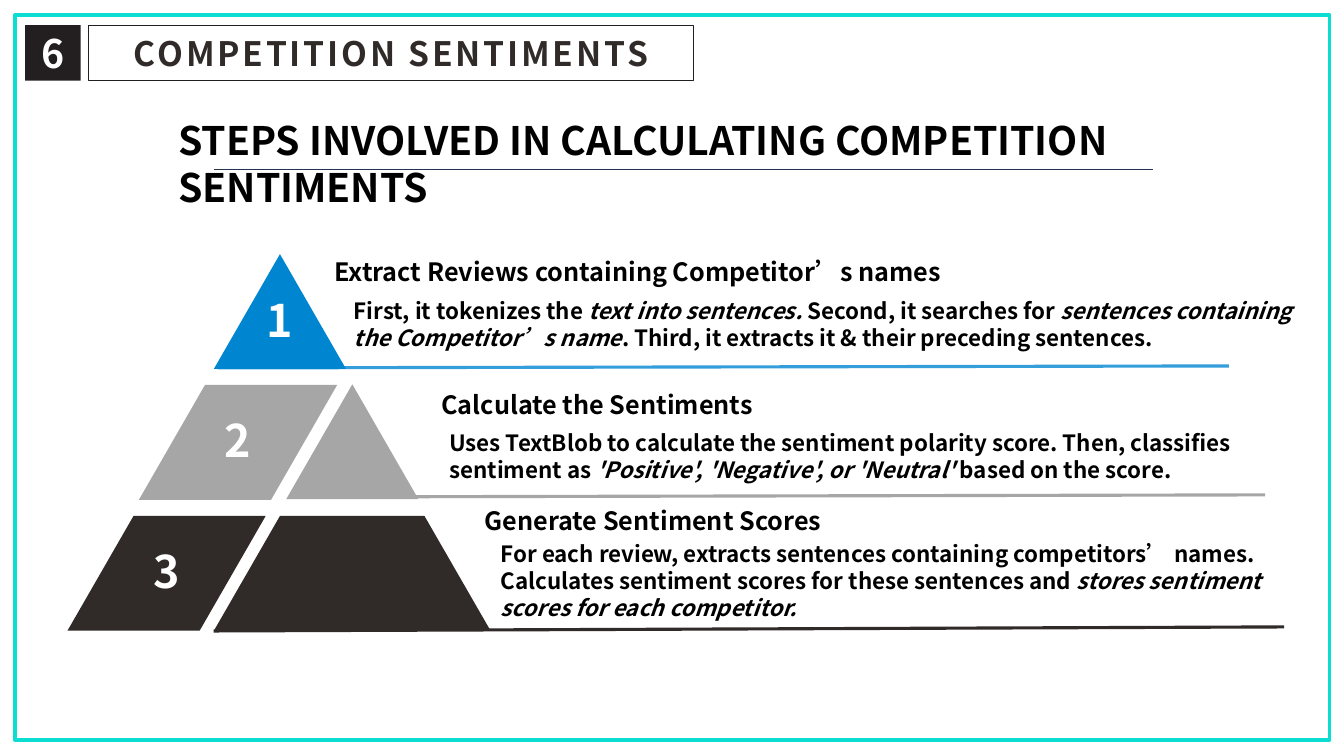
from lxml import etree
from pptx import Presentation
from pptx.dml.color import RGBColor
from pptx.enum.shapes import MSO_CONNECTOR, MSO_SHAPE
from pptx.enum.text import MSO_ANCHOR, MSO_AUTO_SIZE, PP_ALIGN
from pptx.oxml.ns import qn
from pptx.util import Pt

RECTANGLE = MSO_SHAPE.RECTANGLE
STRAIGHT = MSO_CONNECTOR.STRAIGHT
CENTER, LEFT = PP_ALIGN.CENTER, PP_ALIGN.LEFT
MIDDLE, TOP = MSO_ANCHOR.MIDDLE, MSO_ANCHOR.TOP
FIT_SHAPE, NO_FIT = MSO_AUTO_SIZE.SHAPE_TO_FIT_TEXT, MSO_AUTO_SIZE.NONE

BLACK = RGBColor(0x00, 0x00, 0x00)
WHITE = RGBColor(0xFF, 0xFF, 0xFF)
BLUE = RGBColor(0x00, 0x86, 0xD1)
GRAY = RGBColor(0xA6, 0xA6, 0xA6)
DARK = RGBColor(0x30, 0x2A, 0x28)
INK = RGBColor(0x23, 0x1F, 0x20)
NAVY = RGBColor(0x23, 0x33, 0x52)
TURQUOISE = RGBColor(0x0B, 0xDD, 0xD3)

FONT = "Noto Sans CJK SC"
LEAN, TIER_HEIGHT, BLOCK_WIDTH = 47.2, 82, 94.4
INSETS = (7.2, 3.6, 7.2, 3.6)


def write_text(shape, runs, size, color=BLACK, align=LEFT, anchor=TOP,
               insets=INSETS, fit=NO_FIT, spacing=None):
    """Runs alternate between upright and italic, starting upright."""
    frame = shape.text_frame
    frame.word_wrap = True
    frame.auto_size = fit
    frame.vertical_anchor = anchor
    (frame.margin_left, frame.margin_top,
     frame.margin_right, frame.margin_bottom) = map(Pt, insets)
    paragraph = frame.paragraphs[0]
    paragraph.alignment = align
    for index, text in enumerate(runs):
        run = paragraph.add_run()
        run.text = text
        font = run.font
        font.name, font.size, font.bold = FONT, Pt(size), True
        font.italic = index % 2 == 1
        font.color.rgb = color
        properties = run._r.get_or_add_rPr()
        etree.SubElement(properties, qn("a:ea"), typeface=FONT)
        if spacing:
            properties.set("spc", str(spacing * 100))


class SlideBuilder:
    def __init__(self, slide):
        self.slide = slide
        self.shapes = slide.shapes

    def paint(self, shape, fill=None, line=None, weight=1):
        if fill is None:
            shape.fill.background()
        else:
            shape.fill.solid()
            shape.fill.fore_color.rgb = fill
        if line is None:
            shape.line.fill.background()
        else:
            shape.line.color.rgb = line
            shape.line.width = Pt(weight)

    def title(self, text, left, top, width, height):
        shape = self.shapes.title
        shape.left, shape.top = Pt(left), Pt(top)
        shape.width, shape.height = Pt(width), Pt(height)
        self.paint(shape, line=INK)
        write_text(shape, [text], 24, DARK, CENTER, MIDDLE, spacing=2)

    def rectangle(self, left, top, width, height, **style):
        shape = self.shapes.add_shape(RECTANGLE, Pt(left), Pt(top), Pt(width), Pt(height))
        shape.shadow.inherit = False
        self.paint(shape, **style)
        return shape

    def block(self, left, top, top_width, bottom_width, color, number=None, inset_top=0):
        bottom = top + TIER_HEIGHT
        corners = [(left + LEAN, top), (left + LEAN + top_width, top),
                   (left + bottom_width, bottom), (left, bottom)]
        points = [(Pt(x), Pt(y)) for x, y in dict.fromkeys(corners)]
        builder = self.shapes.build_freeform(*points[0], scale=1.0)
        builder.add_line_segments(points[1:], close=True)
        shape = builder.convert_to_shape()
        shape.shadow.inherit = False
        self.paint(shape, fill=color)
        if number:
            write_text(shape, [number], 32, WHITE, CENTER, MIDDLE,
                       insets=(7.2, inset_top, 7.2, 3.6))

    def text(self, runs, left, top, width, height, size):
        shape = self.shapes.add_textbox(Pt(left), Pt(top), Pt(width), Pt(height))
        write_text(shape, runs, size, fit=FIT_SHAPE)

    def line(self, x1, y1, x2, y2, color, weight=2.25, opacity=100):
        connector = self.shapes.add_connector(STRAIGHT, Pt(x1), Pt(y1), Pt(x2), Pt(y2))
        connector.line.color.rgb = color
        connector.line.width = Pt(weight)
        properties = connector._element.spPr
        if opacity < 100:
            color_element = properties.find(".//" + qn("a:srgbClr"))
            etree.SubElement(color_element, qn("a:alpha"), val=str(opacity * 1000))
        etree.SubElement(properties, qn("a:effectLst"))


def main():
    presentation = Presentation()
    presentation.slide_width, presentation.slide_height = Pt(960), Pt(540)
    builder = SlideBuilder(presentation.slides.add_slide(presentation.slide_layouts[5]))

    builder.title("COMPETITION SENTIMENTS", 63.4, 18, 432, 39.6)

    builder.block(152.8, 181.5, 0, 2 * LEAN, BLUE, "1", inset_top=14.4)
    builder.block(204.5, 274.5, 0, 2 * LEAN, GRAY)
    builder.block(99.2, 275, BLOCK_WIDTH, BLOCK_WIDTH, GRAY, "2")
    builder.block(48.2, 368.5, BLOCK_WIDTH, BLOCK_WIDTH, DARK, "3")
    builder.block(152.8, 368.5, 103.2, 197.6, DARK)

    headings = [
        ("Extract Reviews containing Competitor’s names", 231.8, 179.3, 553),
        ("Calculate the Sentiments", 308.2, 274.3, 324.7),
        ("Generate Sentiment Scores", 339.1, 357.1, 355),
    ]
    for heading, left, top, width in headings:
        builder.text([heading], left, top, width, 28.8, 18)

    details = [
        (["First, it tokenizes the ", "text into sentences.",
          " Second, it searches for ", "sentences containing the Competitor’s name",
          ". Third, it extracts it & their preceding sentences."],
         245.5, 208.8, 714.2, 46.1),
        (["Uses TextBlob to calculate the sentiment polarity score. "
          "Then, classifies sentiment as ",
          "'Positive', 'Negative', or 'Neutral'", " based on the score."],
         313.9, 303.1, 623.5, 46.1),
        (["For each review, extracts sentences containing competitors’ names. "
          "Calculates sentiment scores for these sentences and ",
          "stores sentiment scores for each competitor."],
         350.6, 382.3, 596.9, 65.5),
    ]
    for runs, left, top, width, height in details:
        builder.text(runs, left, top, width, height, 16)

    builder.line(152.6, 450.7, 917.3, 447.8, DARK)
    builder.line(210.2, 355, 903.6, 353.5, GRAY)
    builder.line(155.5, 262.8, 877.7, 261.4, BLUE, opacity=80)

    builder.text(["STEPS INVOLVED IN CALCULATING COMPETITION SENTIMENTS"],
                 120.2, 79.2, 757.4, 41, 28)
    builder.line(152.6, 121, 823.7, 121, NAVY, weight=0.5)

    builder.rectangle(10.8, 10.8, 938.9, 517.7, line=TURQUOISE, weight=2.63)
    badge = builder.rectangle(18, 18, 39.6, 39.6, fill=INK)
    write_text(badge, ["6"], 28, WHITE, CENTER, MIDDLE, insets=(0, 0, 0, 0))

    presentation.save("out.pptx")


if __name__ == "__main__":
    main()
